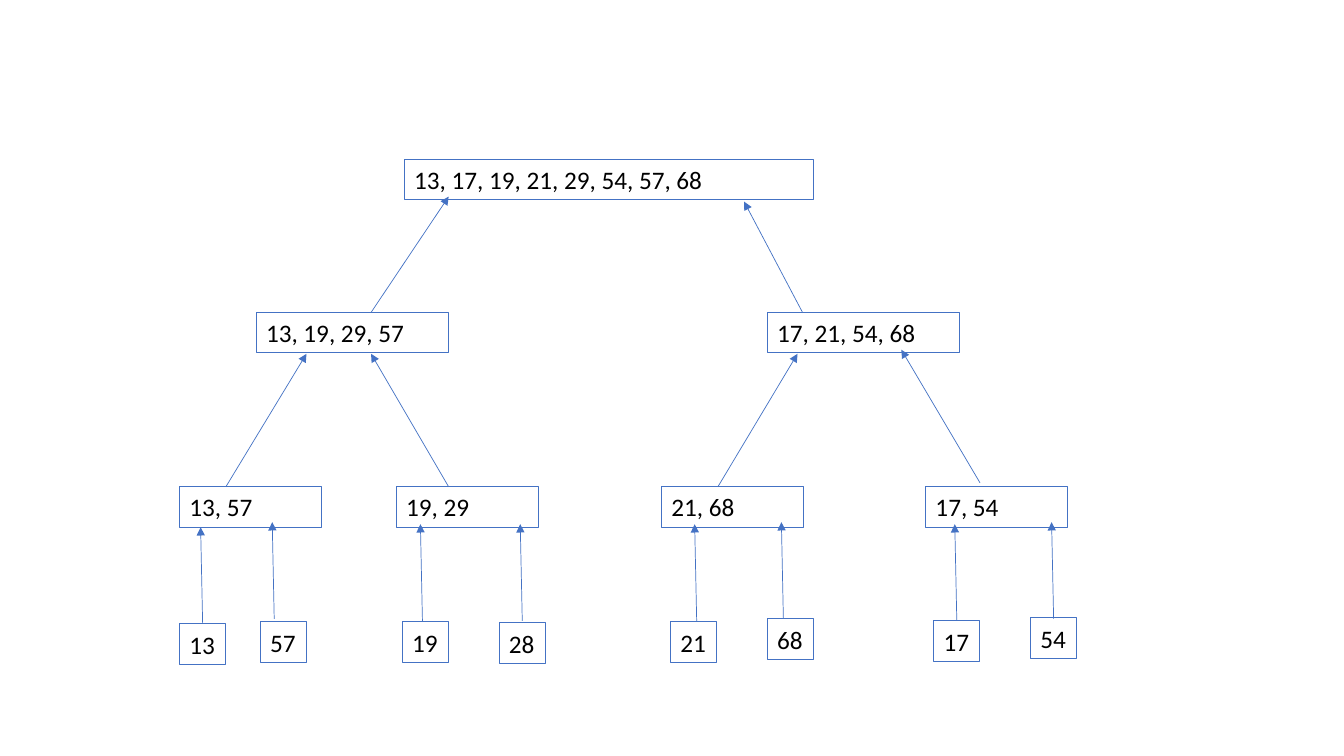
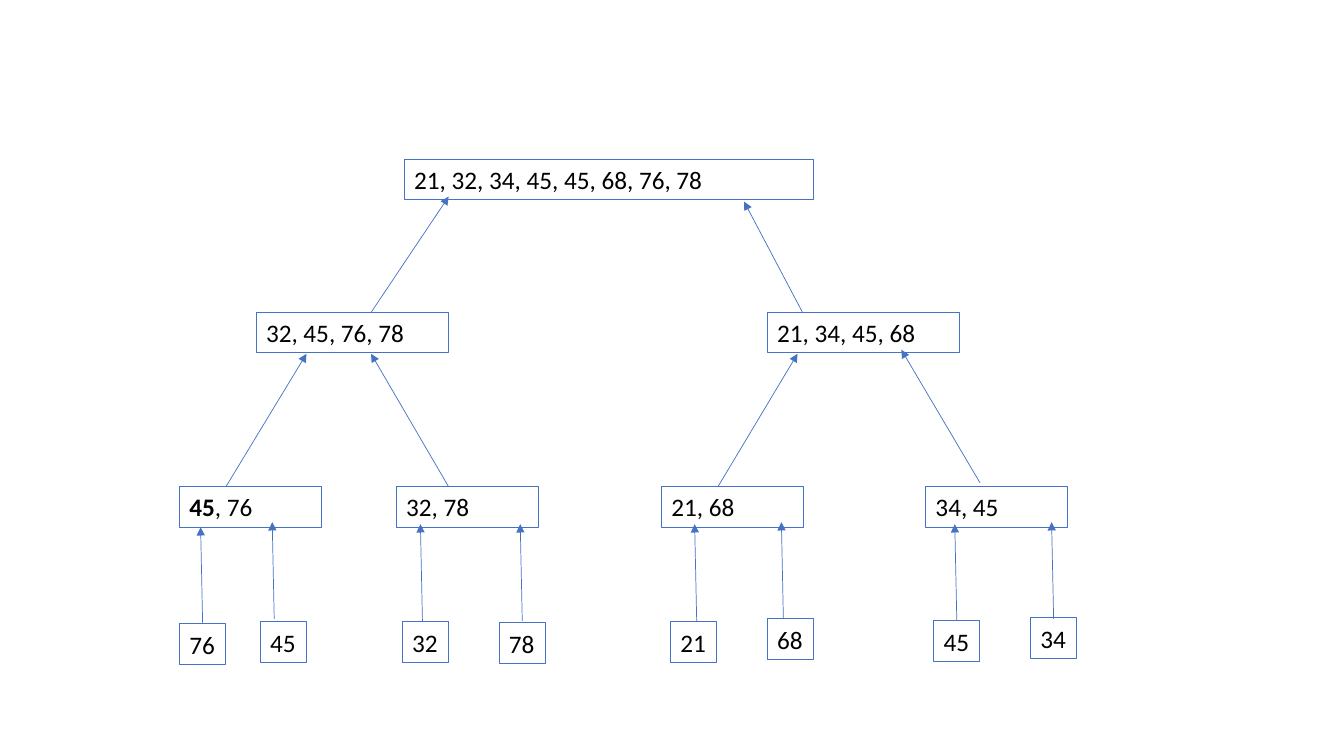
import pptx
import pptx.dml.color
import pptx.enum.shapes
import pptx.enum.text
import pptx.oxml.ns
import pptx.util
import lxml.etree

PX = 9144
BLUE = "4472C4"
BLACK = "000000"
FONT = "Calibri"
BOX_HEIGHT = 40

LEVELS = [
    (406, [(223, 0)]),
    (191, [(76, 152), (583, 152)]),
    (141, [(0, 325), (215, 325), (478, 325), (740, 325)]),
    (46, [(0, 461), (80, 459), (221, 459), (317, 460),
          (487, 459), (583, 456), (748, 458), (844, 455)]),
]
LEAF_STARTS = [(23, 461), (94, 456), (241, 458), (340, 458),
               (513, 458), (599, 456), (771, 458), (867, 456)]
LEAF_RISE = (-2, -96)
MERGE_ARROWS = [
    (46, 325, 80, -132), (267, 325, -77, -132),
    (534, 325, 79, -132), (794, 321, -78, -132),
    (190, 152, 77, -115), (618, 152, -58, -110),
]
ARROWS = [start + LEAF_RISE for start in LEAF_STARTS] + MERGE_ARROWS

TREES = [
    [
        ["13, 17, 19, 21, 29, 54, 57, 68"],
        ["13, 19, 29, 57", "17, 21, 54, 68"],
        ["13, 57", "19, 29", "21, 68", "17, 54"],
        ["13", "57", "19", "28", "21", "68", "17", "54"],
    ],
    [
        ["21, 32, 34, 45, 45, 68, 76, 78"],
        ["32, 45, 76, 78", "21, 34, 45, 68"],
        ["*45*, 76", "32, 78", "21, 68", "34, 45"],
        ["76", "45", "32", "78", "21", "68", "45", "34"],
    ],
]


def px(length):
    """Turn px into EMU."""
    return pptx.util.Emu(length * PX)


def color(code):
    """Turn a hex string into a colour."""
    return pptx.dml.color.RGBColor.from_string(code)


def add_box(page, left, top, width, label):
    """Add an outlined list of numbers; a part between asterisks is bold."""
    box = page.shapes.add_textbox(px(left), px(top), px(width), px(BOX_HEIGHT))
    box.line.color.rgb = color(BLUE)
    box.line.width = pptx.util.Pt(0.75)
    frame = box.text_frame
    frame.word_wrap = True
    frame.auto_size = pptx.enum.text.MSO_AUTO_SIZE.SHAPE_TO_FIT_TEXT
    for index, part in enumerate(label.split("*")):
        if part:
            span = frame.paragraphs[0].add_run()
            span.text = part
            span.font.name = FONT
            span.font.size = pptx.util.Pt(18)
            span.font.bold = index % 2 == 1
            span.font.color.rgb = color(BLACK)


def add_arrow(page, left, top, across, down):
    """Add a thin arrow from a point along the given offset."""
    arrow = page.shapes.add_connector(
        pptx.enum.shapes.MSO_CONNECTOR.STRAIGHT,
        px(left), px(top), px(left + across), px(top + down))
    arrow.line.color.rgb = color(BLUE)
    arrow.line.width = pptx.util.Pt(0.5)
    qn = pptx.oxml.ns.qn
    properties = arrow.element.spPr
    outline = properties.find(qn("a:ln"))
    lxml.etree.SubElement(outline, qn("a:tailEnd"), type="triangle")
    lxml.etree.SubElement(properties, qn("a:effectLst"))


def add_merge_tree(page, left, top, labels):
    """Draw the merge sort tree with its top left corner at the given point."""
    for (width, places), names in zip(LEVELS, labels):
        for (x, y), name in zip(places, names):
            add_box(page, left + x, top + y, width, name)
    for x, y, across, down in ARROWS:
        add_arrow(page, left + x, top + y, across, down)


def main():
    """Build and save the deck."""
    deck = pptx.Presentation()
    deck.slide_width = px(1333)
    deck.slide_height = px(750)
    for labels in TREES:
        page = deck.slides.add_slide(deck.slide_layouts[6])
        add_merge_tree(page, 178, 158, labels)
    deck.save("out.pptx")


if __name__ == "__main__":
    main()
